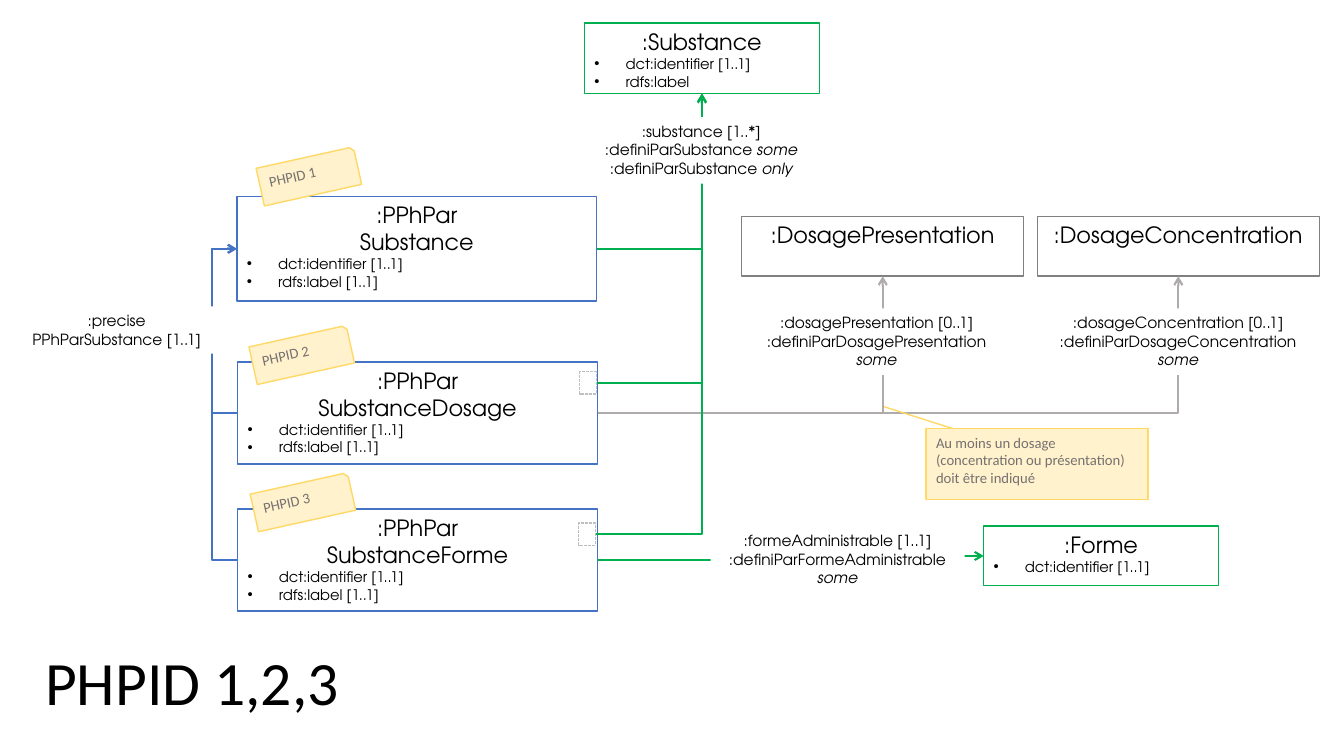
from pptx import Presentation
from pptx.dml.color import RGBColor
from pptx.enum.dml import MSO_LINE
from pptx.enum.shapes import MSO_CONNECTOR as Link, MSO_SHAPE as Shape
from pptx.enum.text import MSO_ANCHOR as Anchor, PP_ALIGN as Align
from pptx.oxml import parse_xml
from pptx.oxml.ns import nsdecls, qn
from pptx.util import Cm, Pt

GREEN = RGBColor(0x00, 0xB0, 0x50)
BLUE = RGBColor(0x44, 0x72, 0xC4)
GRAY = RGBColor(0x80, 0x80, 0x80)
LINK_GRAY = RGBColor(0xAF, 0xAB, 0xAB)
DASH_GRAY = RGBColor(0xBF, 0xBF, 0xBF)
NOTE_TEXT = RGBColor(0x76, 0x71, 0x71)
NOTE_FILL = RGBColor(0xFF, 0xF2, 0xCC)
NOTE_LINE = RGBColor(0xFF, 0xD9, 0x66)
WHITE = RGBColor(0xFF, 0xFF, 0xFF)
BLACK = RGBColor(0x00, 0x00, 0x00)
DIAGRAM_FONT = "TeX Gyre Adventor"
NOTE_FONT = "Calibri"
TOP, LEFT, BOTTOM, RIGHT = range(4)

deck = Presentation()
deck.slide_width, deck.slide_height = Cm(33.87), Cm(19.05)
page = deck.slides.add_slide(deck.slide_layouts[6])


def add_box(kind, place, fill=None, line=None, width=1):
    """Add a shape at place (left, top, width, height in cm)."""
    box = page.shapes.add_shape(kind, *[Cm(length) for length in place])
    box.shadow.inherit = False
    if fill is None:
        box.fill.background()
    else:
        box.fill.solid()
        box.fill.fore_color.rgb = fill
    if line is None:
        box.line.fill.background()
    else:
        box.line.color.rgb = line
        box.line.width = Pt(width)
    box.text_frame.word_wrap = True
    box.text_frame.vertical_anchor = Anchor.TOP
    return box


def style(para, size, font=DIAGRAM_FONT, color=BLACK, align=Align.CENTER):
    para.alignment = align
    for span in para.runs:
        span.font.size = Pt(size)
        span.font.name = font
        span.font.color.rgb = color


# Classes: name, place, colour, heading lines, property lines
IDENTIFIER, LABEL = "dct:identifier [1..1]", "rdfs:label [1..1]"
classes = [
    ("par substance", (5.97, 4.95, 9.07, 2.64), BLUE, [":PPhPar", "Substance"], [IDENTIFIER, LABEL]),
    ("par dosage", (5.99, 9.12, 9.07, 2.57), BLUE, [":PPhPar", "SubstanceDosage"], [IDENTIFIER, LABEL]),
    ("par forme", (5.99, 12.83, 9.07, 2.57), BLUE, [":PPhPar", "SubstanceForme"], [IDENTIFIER, LABEL]),
    ("substance", (14.73, 0.58, 5.92, 1.78), GREEN, [":Substance"], [IDENTIFIER, "rdfs:label"]),
    ("presentation", (18.69, 5.46, 7.11, 1.5), GRAY, [":DosagePresentation"], []),
    ("concentration", (26.14, 5.46, 7.11, 1.5), GRAY, [":DosageConcentration"], []),
    ("forme", (24.79, 13.26, 5.92, 1.5), GREEN, [":Forme"], [IDENTIFIER]),
]
boxes = {}
for name, place, color, headings, properties in classes:
    box = boxes[name] = add_box(Shape.RECTANGLE, place, line=color)
    box.text_frame.text = "\n".join(headings + properties)
    for index, para in enumerate(box.text_frame.paragraphs):
        if index < len(headings):
            style(para, 16)
            continue
        style(para, 10.5, align=Align.LEFT)
        props = para._p.get_or_add_pPr()
        props.set("marL", str(Cm(0.79)))
        props.set("indent", str(Cm(-0.79)))
        props.append(parse_xml(f'<a:buFont {nsdecls("a")} typeface="Arial"/>'))
        props.append(parse_xml(f'<a:buChar {nsdecls("a")} char="•"/>'))

# Small dashed ports on the right edge of two classes
for name, left, top in [("dosage port", 14.61, 9.37), ("forme port", 14.58, 13.18)]:
    port = boxes[name] = add_box(Shape.RECTANGLE, (left, top, 0.43, 0.56), line=DASH_GRAY, width=0.75)
    port.line.dash_style = MSO_LINE.SQUARE_DOT

# Relations: from, side, to, side, colour, preset
relations = [
    ("par dosage", RIGHT, "presentation", BOTTOM, LINK_GRAY, "bentConnector2"),
    ("par dosage", RIGHT, "concentration", BOTTOM, LINK_GRAY, "bentConnector2"),
    ("par substance", RIGHT, "substance", BOTTOM, GREEN, "bentConnector2"),
    ("dosage port", RIGHT, "substance", BOTTOM, GREEN, "bentConnector2"),
    ("forme port", RIGHT, "substance", BOTTOM, GREEN, "bentConnector2"),
    ("par forme", RIGHT, "forme", LEFT, GREEN, "bentConnector3"),
    ("par dosage", LEFT, "par substance", LEFT, BLUE, "bentConnector3"),
    ("par forme", LEFT, "par substance", LEFT, BLUE, "bentConnector3"),
]
for source, source_side, target, target_side, color, preset in relations:
    relation = page.shapes.add_connector(Link.ELBOW, 0, 0, 0, 0)
    relation.begin_connect(boxes[source], source_side)
    relation.end_connect(boxes[target], target_side)
    relation.line.color.rgb = color
    relation.line.width = Pt(1.5)
    relation.line._get_or_add_ln().append(parse_xml(f'<a:tailEnd {nsdecls("a")} type="arrow"/>'))
    props = relation._element.spPr
    props.append(parse_xml(f'<a:effectLst {nsdecls("a")}/>'))
    geometry = props.find(qn("a:prstGeom"))
    geometry.set("prst", preset)
    if source_side == target_side:
        bend = round((relation.begin_x - Cm(5.34)) / (relation.begin_x - relation.end_x) * 100000)
        guides = geometry.get_or_add_avLst()
        guides.append(parse_xml(f'<a:gd {nsdecls("a")} name="adj1" fmla="val {bend}"/>'))

# Relation labels: place, lines of (upright, italic) text
labels = [
    ((14.35, 2.95, 6.65, 1.68),
     [(":substance [1..*]", ""), (":definiParSubstance ", "some"), (":definiParSubstance ", "only")]),
    ((17.91, 13.26, 6.4, 1.68),
     [(":formeAdministrable [1..1]", ""), (":definiParFormeAdministrable ", "some")]),
    ((-0.03, 7.72, 5.94, 1.19), [(":precise", ""), ("PPhParSubstance [1..1]", "")]),
    ((18.77, 7.77, 6.65, 1.68),
     [(":dosagePresentation [0..1]", ""), (":definiParDosagePresentation ", "some")]),
    ((26.37, 7.77, 6.65, 1.68),
     [(":dosageConcentration [0..1]", ""), (":definiParDosageConcentration ", "some")]),
]
for place, lines in labels:
    frame = add_box(Shape.RECTANGLE, place, fill=WHITE).text_frame
    frame.text = "\n".join(upright for upright, italic in lines)
    for para, (upright, italic) in zip(frame.paragraphs, lines):
        if italic:
            span = para.add_run()
            span.text = italic
            span.font.italic = True
        style(para, 11)

# Tilted tags
for number, (left, top) in enumerate([(6.53, 3.96), (6.35, 8.46), (6.38, 12.17)], 1):
    tag = add_box(Shape.SNIP_1_RECTANGLE, (left, top, 2.51, 0.97), NOTE_FILL, NOTE_LINE)
    tag.adjustments[0] = 0.11
    tag.rotation = 347.5
    tag.text_frame.text = f"PHPID {number}"
    style(tag.text_frame.paragraphs[0], 10.5, NOTE_FONT, NOTE_TEXT, Align.LEFT)

callout = add_box(Shape.LINE_CALLOUT_1, (23.34, 10.8, 5.59, 1.78), NOTE_FILL, NOTE_LINE)
for index, value in enumerate([0, 0.12, -0.31, -0.19]):
    callout.adjustments[index] = value
callout.text_frame.text = "Au moins un dosage (concentration ou présentation) doit être indiqué"
style(callout.text_frame.paragraphs[0], 10.5, NOTE_FONT, NOTE_TEXT, Align.LEFT)

title = page.shapes.add_textbox(Cm(0.89), Cm(16.31), Cm(29.21), Cm(3.68))
title.text_frame.word_wrap = True
title.text_frame.text = "PHPID 1,2,3"
title.text_frame.paragraphs[0].line_spacing = 0.9
style(title.text_frame.paragraphs[0], 44, NOTE_FONT, BLACK, Align.LEFT)

deck.save("out.pptx")
